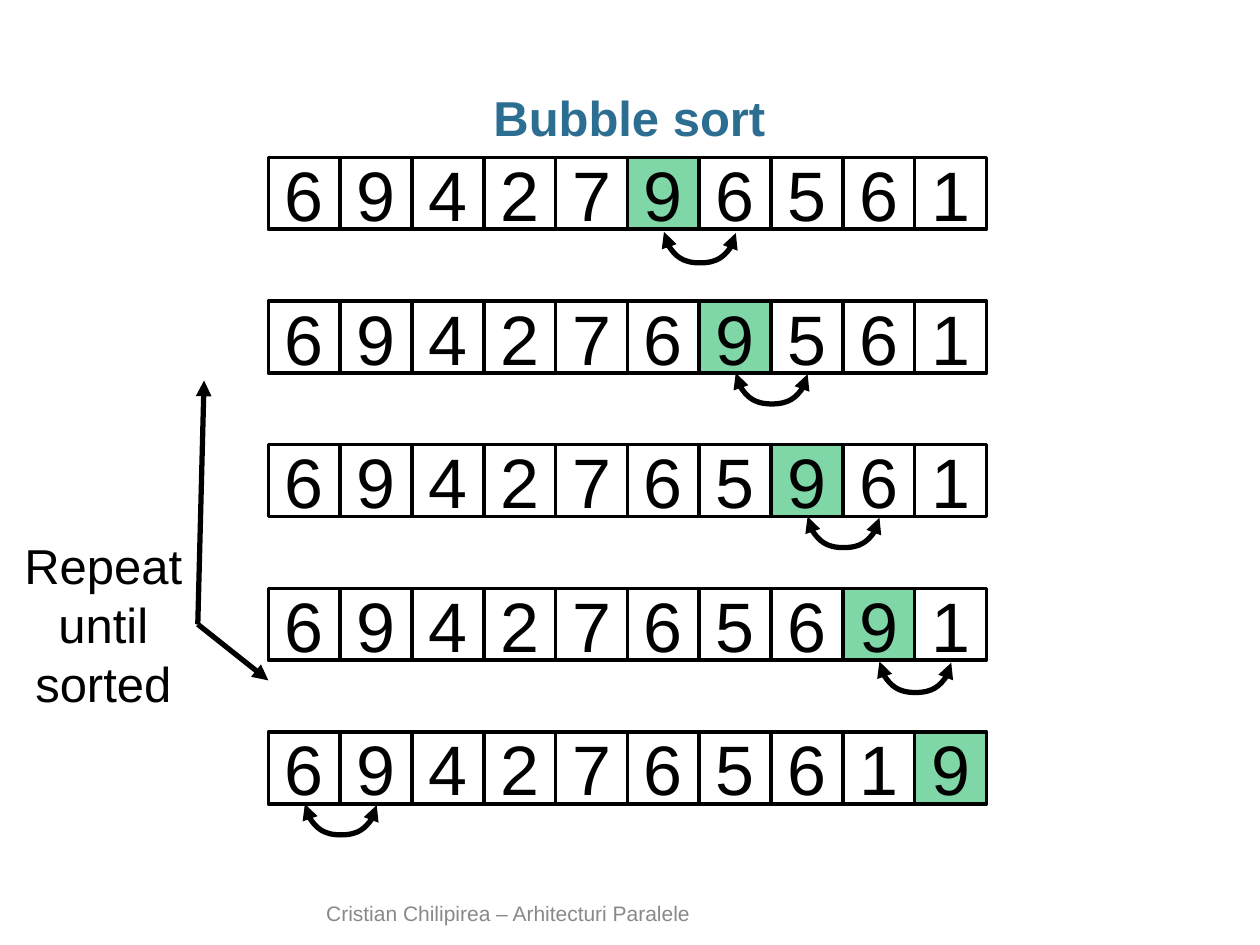
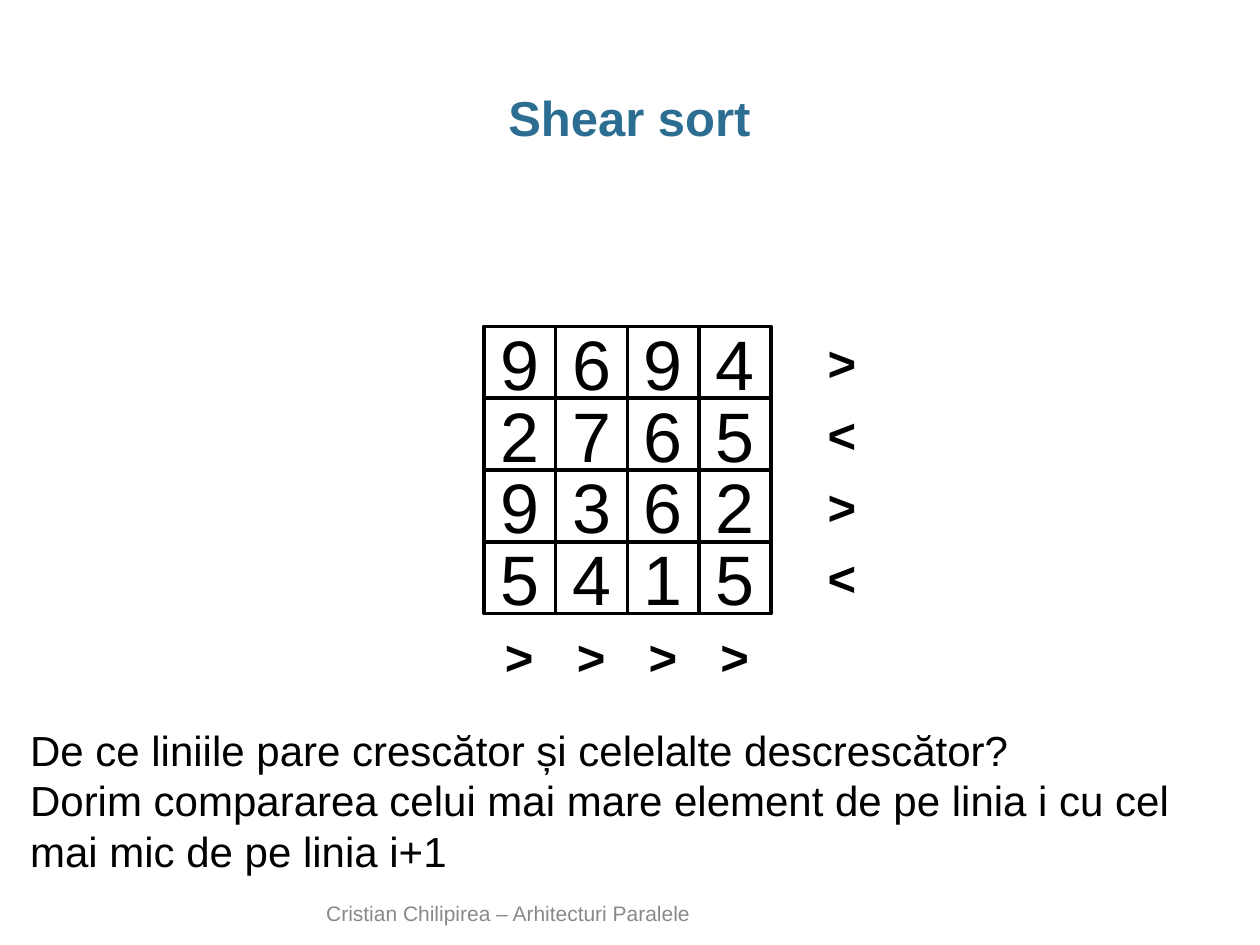
from lxml import etree
from pptx import Presentation
from pptx.dml.color import RGBColor
from pptx.enum.shapes import MSO_CONNECTOR, MSO_SHAPE
from pptx.enum.text import MSO_ANCHOR, MSO_AUTO_SIZE, PP_ALIGN
from pptx.oxml.ns import qn
from pptx.util import Pt

PX = 9144  # 100 px to the inch
FONT = "Arial"
COLORS = {"ink": "000000", "title": "2C6D92", "footer": "898989", "marked": "00B050"}
FOOTER = "Cristian Chilipirea – Arhitecturi Paralele"
CELL = 57
ARC_DEPTH = 25

RECTANGLE = MSO_SHAPE.RECTANGLE
STRAIGHT, CURVE = MSO_CONNECTOR.STRAIGHT, MSO_CONNECTOR.CURVE
LEFT, CENTER = PP_ALIGN.LEFT, PP_ALIGN.CENTER
TOP, MIDDLE, BOTTOM = MSO_ANCHOR.TOP, MSO_ANCHOR.MIDDLE, MSO_ANCHOR.BOTTOM
GROW = MSO_AUTO_SIZE.SHAPE_TO_FIT_TEXT
RIGHT_SIDE = 3


def color(name):
    return RGBColor.from_string(COLORS[name])


class Painter:
    def __init__(self):
        self.deck = Presentation()
        self.deck.slide_width, self.deck.slide_height = 1000 * PX, 750 * PX
        self.page = None

    def new_page(self, title):
        self.page = self.deck.slides.add_slide(self.deck.slide_layouts[6])
        self.text(249, 716, 502, 24, [FOOTER], 12, "footer", anchor=BOTTOM)
        box = self.text(34, 68, 931, 50, [title], 28, "title", bold=True, align=CENTER)
        box.text_frame.margin_left = box.text_frame.margin_right = 0
        box.text_frame.paragraphs[0].line_spacing = 0.95

    def add_lines(self, frame, lines, size, ink="ink", bold=False, align=LEFT):
        for number, line in enumerate(lines):
            para = frame.add_paragraph() if number else frame.paragraphs[0]
            para.alignment = align
            span = para.add_run()
            span.text = line
            span.font.name, span.font.size, span.font.bold = FONT, Pt(size), bold
            span.font.color.rgb = color(ink)

    def text(self, left, top, width, height, lines, size, ink="ink", bold=False,
             align=LEFT, anchor=TOP, wrap=True, grow=False):
        box = self.page.shapes.add_textbox(left * PX, top * PX, width * PX, height * PX)
        frame = box.text_frame
        frame.word_wrap, frame.vertical_anchor = wrap, anchor
        if grow:
            frame.auto_size = GROW
        self.add_lines(frame, lines, size, ink, bold, align)
        return box

    def sign(self, left, top, mark):
        self.text(left, top, 43, 57, [mark], 28, bold=True, wrap=False, grow=True)

    def cell(self, left, top, digit, marked=False):
        box = self.page.shapes.add_shape(RECTANGLE, left * PX, top * PX, CELL * PX, CELL * PX)
        box.shadow.inherit = False
        box.line.color.rgb, box.line.width = color("ink"), Pt(2)
        if marked:
            box.fill.solid()
            box.fill.fore_color.rgb = color("marked")
            shade = box.element.spPr.find(qn("a:solidFill"))[0]
            etree.SubElement(shade, qn("a:alpha"), val="50000")
        else:
            box.fill.background()
        box.text_frame.vertical_anchor = MIDDLE
        self.add_lines(box.text_frame, [digit], 40, align=CENTER)

    def row(self, left, top, digits, marked=None):
        for column, digit in enumerate(digits):
            self.cell(left + column * CELL, top, digit, column == marked)

    def connector(self, kind, start, end, heads):
        link = self.page.shapes.add_connector(kind, *(value * PX for value in start + end))
        link.line.color.rgb, link.line.width = color("ink"), Pt(3)
        outline = link.element.spPr.find(qn("a:ln"))
        for head in heads:
            etree.SubElement(outline, qn(head), type="triangle")
        etree.SubElement(link.element.spPr, qn("a:effectLst"))
        return link

    def arrow(self, box, end):
        start = (box.left + box.width) // PX, (box.top + box.height // 2) // PX
        link = self.connector(STRAIGHT, start, end, ["a:tailEnd"])
        link.begin_connect(box, RIGHT_SIDE)

    def swap_arc(self, middle, top):
        """Two-headed arc below two neighbours; a thin curve turned on its side."""
        upper = top - CELL // 2
        link = self.connector(CURVE, (middle + 1, upper), (middle, upper + CELL),
                              ["a:headEnd", "a:tailEnd"])
        properties = link.element.spPr
        properties.find(qn("a:xfrm")).set("rot", str(270 * 60000))
        geometry = properties.find(qn("a:prstGeom"))
        guides = geometry.find(qn("a:avLst"))
        if guides is None:
            guides = etree.SubElement(geometry, qn("a:avLst"))
        etree.SubElement(guides, qn("a:gd"), name="adj1", fmla=f"val {ARC_DEPTH * 100000}")


def bubble_sort(painter):
    painter.new_page("Bubble sort")
    left, first_top = 213, 125
    # Digits, marked column, first column of the swap, gap above the arc
    steps = [
        ("6942796561", 5, 5, 2),
        ("6942769561", 6, 6, 0),
        ("6942765961", 7, 7, 0),
        ("6942765691", 8, 8, 1),
        ("6942765619", 9, 0, 0),
    ]
    for number, (digits, marked, swap, gap) in enumerate(steps):
        top = first_top + number * 2 * CELL
        painter.row(left, top, digits, marked)
        painter.swap_arc(left + (swap + 1) * CELL, top + CELL + gap)

    # Loop note
    note = painter.text(7, 420, 150, 151, ["Repeat until sorted"], 28, align=CENTER, grow=True)
    for end in ((213, 540), (162, 302)):
        painter.arrow(note, end)


def shear_sort(painter):
    painter.new_page("Shear sort")
    left, top = 384, 259
    # Grid with the order of each row and column
    for number, (digits, order) in enumerate(zip(("9694", "2765", "9362", "5415"), "><><")):
        row_top = top + number * CELL
        painter.row(left, row_top, digits)
        painter.sign(647, row_top, order)
    for column in range(4):
        painter.sign(left + 7 + column * CELL, 492, ">")

    # Explanation
    painter.text(14, 570, 952, 131, [
        "De ce liniile pare crescător și celelalte descrescător?",
        "Dorim compararea celui mai mare element de pe linia i cu cel mai mic de pe linia i+1",
    ], 24, grow=True)


def main():
    painter = Painter()
    bubble_sort(painter)
    shear_sort(painter)
    painter.deck.save("out.pptx")


if __name__ == "__main__":
    main()
